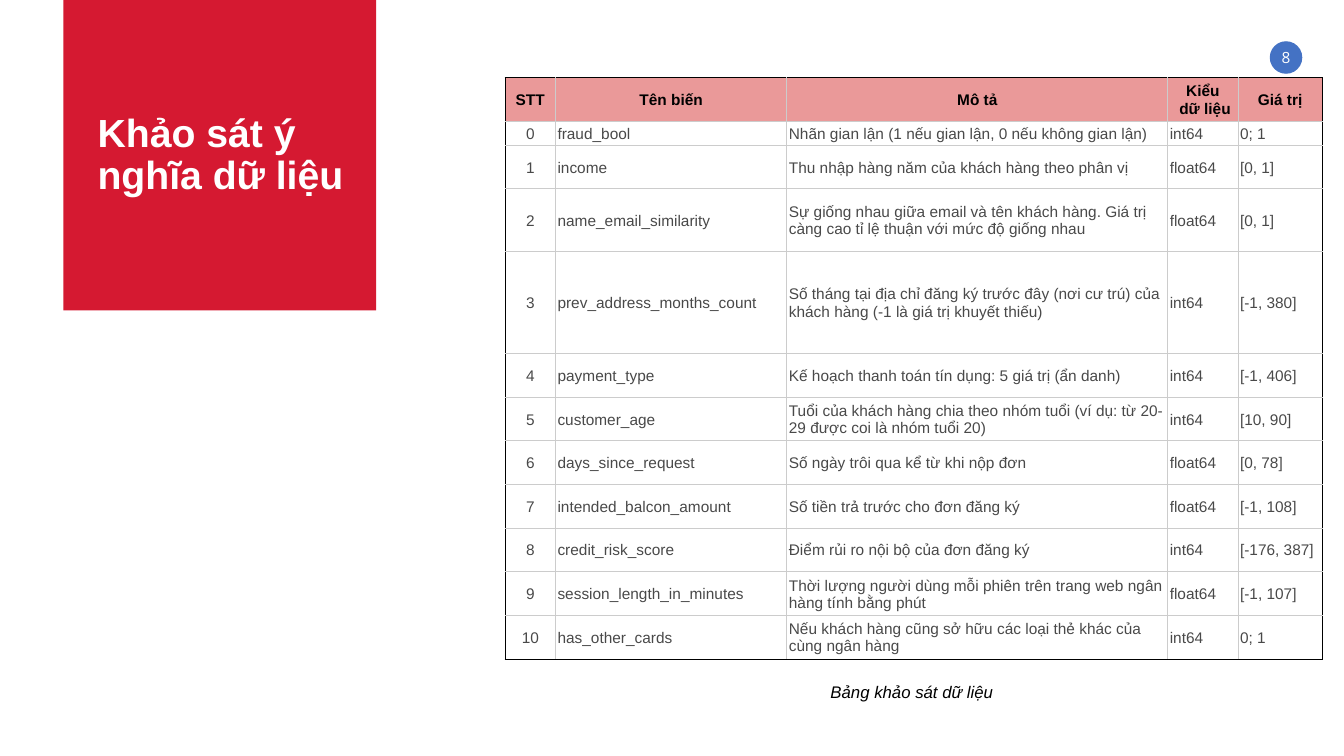
from dataclasses import dataclass

from lxml.etree import SubElement
from pptx import Presentation
from pptx.dml.color import RGBColor as Rgb
from pptx.enum.shapes import MSO_SHAPE as Preset
from pptx.enum.text import MSO_ANCHOR as Anchor, MSO_AUTO_SIZE as AutoSize, PP_ALIGN as Align
from pptx.oxml.ns import qn
from pptx.util import Cm, Pt


@dataclass(frozen=True)
class Theme:
    red: str = "D51931"
    blue: str = "4472C4"
    pink: str = "EA9999"
    white: str = "FFFFFF"
    black: str = "000000"
    grey: str = "494949"
    rule: str = "CCCCCC"
    font: str = "Arial"
    number_font: str = "Open Sans"
    title_size: int = 28
    caption_size: int = 12
    table_size: int = 11


theme = Theme()


def write(frame, text, size=theme.table_size, color=theme.black, font=theme.font, bold=False,
          italic=False, align=Align.LEFT, anchor=Anchor.TOP, wrap=True, grow=False,
          margins=(0.25, 0.13, 0.25, 0.13)):
    frame.text = text
    frame.word_wrap = wrap
    frame.auto_size = AutoSize.SHAPE_TO_FIT_TEXT if grow else AutoSize.NONE
    frame.vertical_anchor = anchor
    frame.margin_left, frame.margin_top, frame.margin_right, frame.margin_bottom = map(Cm, margins)
    for paragraph in frame.paragraphs:
        paragraph.alignment = align
        for run in paragraph.runs:
            run.font.size = Pt(size)
            run.font.name = font
            run.font.bold = bold
            run.font.italic = italic
            run.font.color.rgb = Rgb.from_string(color)


def draw_border(cell, side, outer):
    width = Pt(1) if outer else Pt(0.75)
    line = SubElement(cell._tc.get_or_add_tcPr(), qn(f"a:ln{side}"), w=str(width))
    fill = SubElement(line, qn("a:solidFill"))
    SubElement(fill, qn("a:srgbClr"), val=theme.black if outer else theme.rule)


deck = Presentation()
deck.slide_width, deck.slide_height = Cm(33.87), Cm(19.05)
slide = deck.slides.add_slide(deck.slide_layouts[5])
shapes = slide.shapes

number_disc = shapes.add_shape(Preset.OVAL, Cm(32), Cm(1.04), Cm(0.82), Cm(0.82))
title_block = shapes.add_shape(Preset.RECTANGLE, Cm(1.6), Cm(0), Cm(7.88), Cm(7.82))
for backdrop, color in ((number_disc, theme.blue), (title_block, theme.red)):
    backdrop.shadow.inherit = False
    backdrop.fill.solid()
    backdrop.fill.fore_color.rgb = Rgb.from_string(color)
    backdrop.line.fill.background()

page_number = shapes.add_textbox(Cm(31.9), Cm(1.22), Cm(1.02), Cm(0.48))
write(page_number.text_frame, "8", color=theme.white, font=theme.number_font,
      align=Align.CENTER, grow=True, margins=(0, 0, 0, 0))

title = shapes.title
title_block.element.addnext(title.element)
title.left, title.top, title.width, title.height = Cm(2.21), Cm(0.64), Cm(7.9), Cm(6.58)
write(title.text_frame, "Khảo sát ý nghĩa dữ liệu", size=theme.title_size,
      color=theme.white, bold=True, anchor=Anchor.MIDDLE)
title.text_frame.paragraphs[0].line_spacing = 0.9
title.text_frame.paragraphs[0].space_after = Pt(6)

headings = ("STT", "Tên biến", "Mô tả", "Kiểu\n dữ liệu", "Giá trị")
variables = (
    ("fraud_bool", "Nhãn gian lận (1 nếu gian lận, 0 nếu không gian lận)", "int64", "0; 1"),
    ("income", "Thu nhập hàng năm của khách hàng theo phân vị", "float64", "[0, 1]"),
    ("name_email_similarity",
     "Sự giống nhau giữa email và tên khách hàng. Giá trị càng cao tỉ lệ thuận với mức độ giống nhau",
     "float64", "[0, 1]"),
    ("prev_address_months_count",
     "Số tháng tại địa chỉ đăng ký trước đây (nơi cư trú) của khách hàng (-1 là giá trị khuyết thiếu)",
     "int64", "[-1, 380]"),
    ("payment_type", "Kế hoạch thanh toán tín dụng: 5 giá trị (ẩn danh)", "int64", "[-1, 406]"),
    ("customer_age",
     "Tuổi của khách hàng chia theo nhóm tuổi (ví dụ: từ 20-29 được coi là nhóm tuổi 20)",
     "int64", "[10, 90]"),
    ("days_since_request", "Số ngày trôi qua kể từ khi nộp đơn", "float64", "[0, 78]"),
    ("intended_balcon_amount", "Số tiền trả trước cho đơn đăng ký", "float64", "[-1, 108]"),
    ("credit_risk_score", "Điểm rủi ro nội bộ của đơn đăng ký", "int64", "[-176, 387]"),
    ("session_length_in_minutes",
     "Thời lượng người dùng mỗi phiên trên trang web ngân hàng tính bằng phút",
     "float64", "[-1, 107]"),
    ("has_other_cards",
     "Nếu khách hàng cũng sở hữu các loại thẻ khác của cùng ngân hàng",
     "int64", "0; 1"),
)
rows = [headings] + [(str(index), *variable) for index, variable in enumerate(variables)]
column_widths = (1.27, 5.83, 9.6, 1.77, 2.12)
row_heights = [1.1, 0.6, 1.1, 1.58, 2.57] + [1.1] * 7
last_row, last_column = len(rows) - 1, len(headings) - 1

survey = shapes.add_table(len(rows), len(headings), Cm(12.73), Cm(1.96),
                          Cm(sum(column_widths)), Cm(sum(row_heights))).table
survey.first_row = survey.horz_banding = False
for column, width in zip(survey.columns, column_widths):
    column.width = Cm(width)
for row, height in zip(survey.rows, row_heights):
    row.height = Cm(height)

for r, values in enumerate(rows):
    for c, value in enumerate(values):
        cell = survey.cell(r, c)
        heading = r == 0
        write(cell.text_frame, value, color=theme.black if heading else theme.grey, bold=heading,
              align=Align.CENTER if heading or c == 0 else Align.LEFT)
        cell.vertical_anchor = Anchor.MIDDLE
        cell.margin_left = cell.margin_right = Cm(0.05)
        cell.margin_top, cell.margin_bottom = Cm(0.03), Cm(0)
        for side, outer in (("L", c == 0), ("R", c == last_column),
                            ("T", heading), ("B", r == last_row)):
            draw_border(cell, side, outer)
        if heading:
            cell.fill.solid()
            cell.fill.fore_color.rgb = Rgb.from_string(theme.pink)
        else:
            cell.fill.background()

caption = shapes.add_textbox(Cm(20.68), Cm(17.04), Cm(4.65), Cm(0.76))
write(caption.text_frame, "Bảng khảo sát dữ liệu", size=theme.caption_size,
      italic=True, wrap=False, grow=True)

deck.save("out.pptx")
